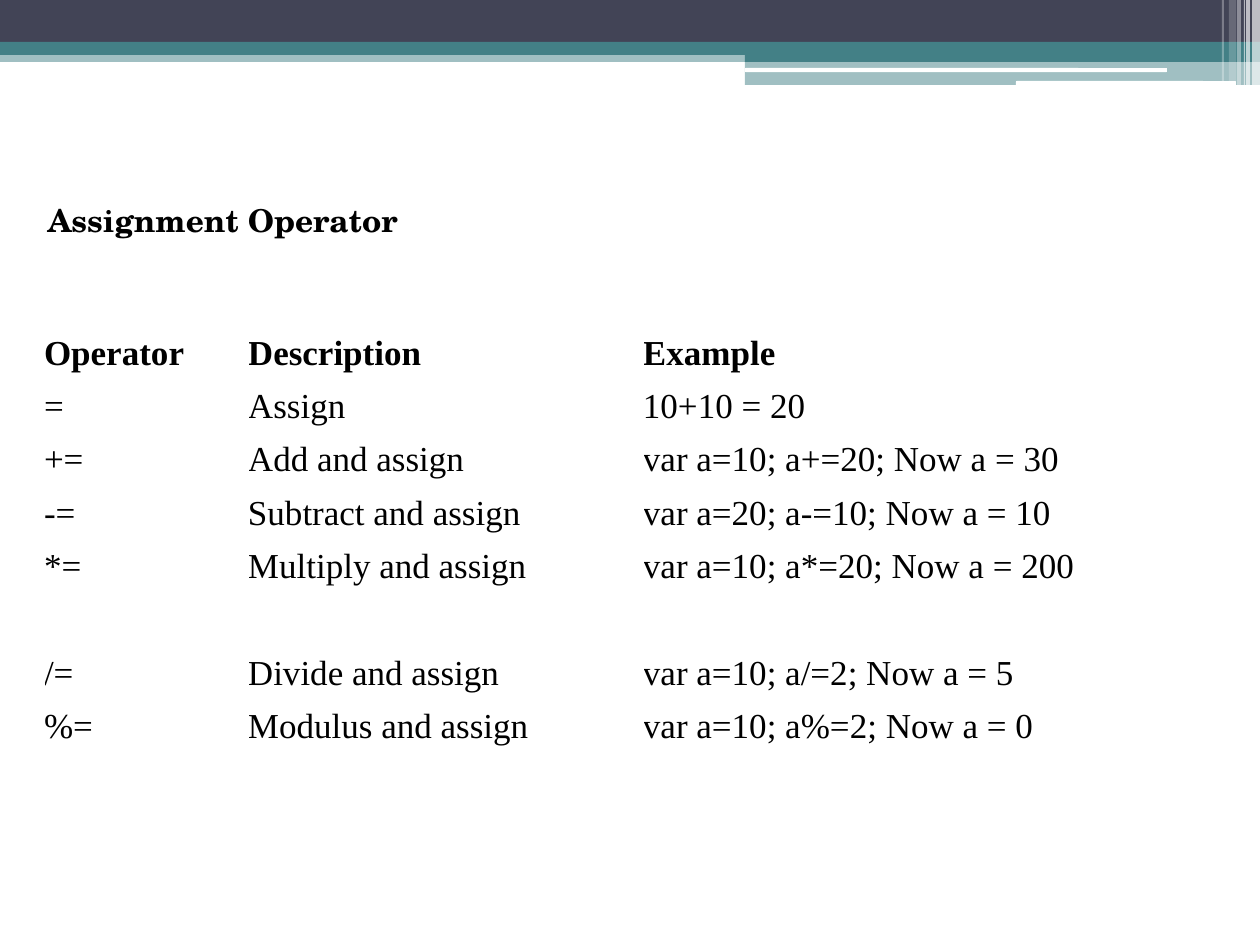
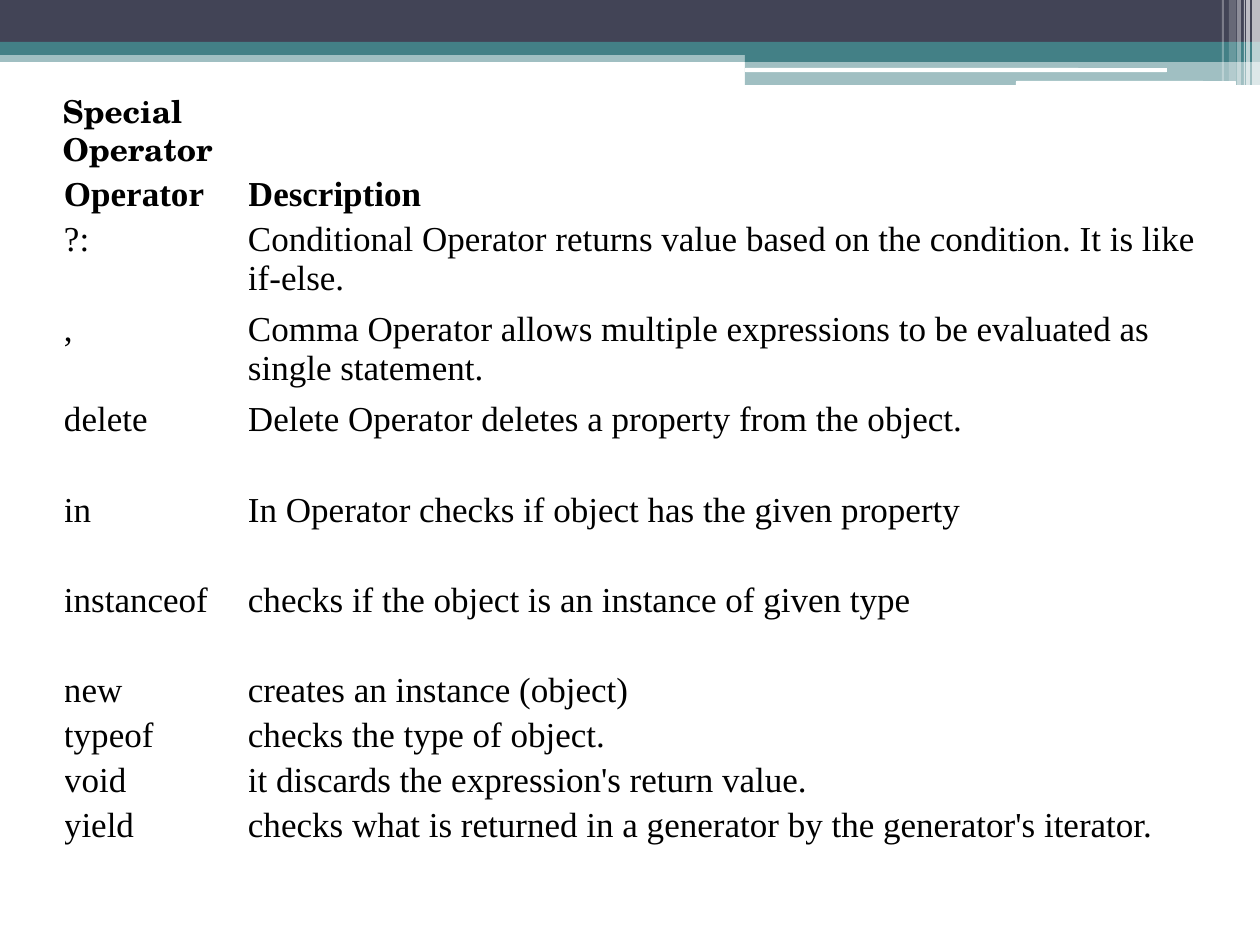
from lxml import etree
from pptx import Presentation
from pptx import util as u
from pptx.dml.color import RGBColor
from pptx.enum import shapes, text
from pptx.oxml.ns import qn

PX = u.Inches(1) / 126
COLOURS = {"navy": "424456", "teal": "438086", "white": "FFFFFF", "ink": "000000"}
HEADING_FONT = "TeX Gyre Schola"
TABLE_FONT = "Times New Roman"


def px(*lengths):
    return [round(length * PX) for length in lengths]


def write(frame, words, font, size, bold=False, colour="ink"):
    frame.text = words
    paragraph = frame.paragraphs[0]
    paragraph.alignment = text.PP_ALIGN.LEFT
    style = paragraph.runs[0].font
    style.name = font
    style.size = u.Pt(size)
    style.bold = bold
    style.color.rgb = RGBColor.from_string(COLOURS[colour])


RECT = shapes.MSO_SHAPE.RECTANGLE
ROUNDED = shapes.MSO_SHAPE.ROUNDED_RECTANGLE
header_bands = [
    (RECT, 0, 50, 1260, 12, "teal", 50),
    (RECT, 0, 0, 1260, 43, "navy", 100),
    (RECT, 0, 42, 1260, 13, "teal", 100),
    (RECT, 745, 49, 515, 13, "teal", 100),
    (RECT, 745, 61, 515, 24, "teal", 50),
    (ROUNDED, 745, 68, 422, 4, "white", 100),
    (ROUNDED, 1016, 81, 220, 5, "white", 100),
    (RECT, 1252, 0, 8, 85, "white", 65),
    (RECT, 1246, 0, 4, 85, "white", 65),
    (RECT, 1244, 0, 1, 85, "white", 60),
    (RECT, 1237, 0, 4, 85, "white", 40),
    (RECT, 1229, 0, 7, 81, "white", 20),
    (RECT, 1222, 0, 2, 81, "white", 30),
]

topics = [
    {
        "heading": "Assignment Operator",
        "heading_box": (35, 195, 380, 50),
        "table_box": (44, 334, 1186, 427),
        "columns": (204, 395, 587),
        "row_units": (1, 1, 1, 1, 2, 1, 1),
        "rows": [
            ("Operator", "Description", "Example"),
            ("=", "Assign", "10+10 = 20"),
            ("+=", "Add and assign", "var a=10; a+=20; Now a = 30"),
            ("-=", "Subtract and assign", "var a=20; a-=10; Now a = 10"),
            ("*=", "Multiply and assign", "var a=10; a*=20; Now a = 200"),
            ("/=", "Divide and assign", "var a=10; a/=2; Now a = 5"),
            ("%=", "Modulus and assign", "var a=10; a%=2; Now a = 0"),
        ],
    },
    {
        "heading": "Special Operator",
        "heading_box": (50, 86, 302, 50),
        "table_box": (64, 175, 1141, 722),
        "columns": (184, 957),
        "row_units": (1, 2, 2, 2, 2, 2, 1, 1, 1, 2),
        "rows": [
            ("Operator", "Description"),
            ("?:", "Conditional Operator returns value based on the condition. It is like if-else."),
            (",", "Comma Operator allows multiple expressions to be evaluated as single statement."),
            ("delete", "Delete Operator deletes a property from the object."),
            ("in", "In Operator checks if object has the given property"),
            ("instanceof", "checks if the object is an instance of given type"),
            ("new", "creates an instance (object)"),
            ("typeof", "checks the type of object."),
            ("void", "it discards the expression's return value."),
            ("yield", "checks what is returned in a generator by the generator's iterator."),
        ],
    },
]

deck = Presentation()
deck.slide_width, deck.slide_height = px(1260, 945)
layout = deck.slide_layouts[5]
slides = [deck.slides.add_slide(layout) for topic in topics]

for outline, left, top, width, height, colour, opacity in header_bands:
    band = slides[0].shapes.add_shape(outline, *px(left, top, width, height))
    band.shadow.inherit = False
    band.line.fill.background()
    band.fill.solid()
    band.fill.fore_color.rgb = RGBColor.from_string(COLOURS[colour])
    if opacity < 100:
        tint = band.element.spPr.find(".//" + qn("a:srgbClr"))
        etree.SubElement(tint, qn("a:alpha"), val=str(opacity * 1000))
    layout.shapes.element.append(band.element)

for slide, topic in zip(slides, topics):
    heading = slide.shapes.title
    heading.left, heading.top, heading.width, heading.height = px(*topic["heading_box"])
    write(heading.text_frame, topic["heading"], font=HEADING_FONT, size=18, bold=True)
    heading.text_frame.word_wrap = True
    heading.text_frame.vertical_anchor = text.MSO_ANCHOR.TOP
    heading.text_frame.auto_size = text.MSO_AUTO_SIZE.SHAPE_TO_FIT_TEXT

    rows, columns, units = topic["rows"], topic["columns"], topic["row_units"]
    operators = slide.shapes.add_table(len(rows), len(columns), *px(*topic["table_box"])).table
    operators.first_row = operators.horz_banding = False
    for column, width in zip(operators.columns, px(*columns)):
        column.width = width
    unit_height = topic["table_box"][3] / sum(units)
    for row, height in zip(operators.rows, px(*[unit_height * unit for unit in units])):
        row.height = height
    for r, entries in enumerate(rows):
        for c, entry in enumerate(entries):
            cell = operators.cell(r, c)
            cell.margin_left = cell.margin_right = cell.margin_top = cell.margin_bottom = 0
            cell.fill.solid()
            cell.fill.fore_color.rgb = RGBColor.from_string(COLOURS["white"])
            write(cell.text_frame, entry, font=TABLE_FONT, size=20, bold=r == 0)

deck.save("out.pptx")
